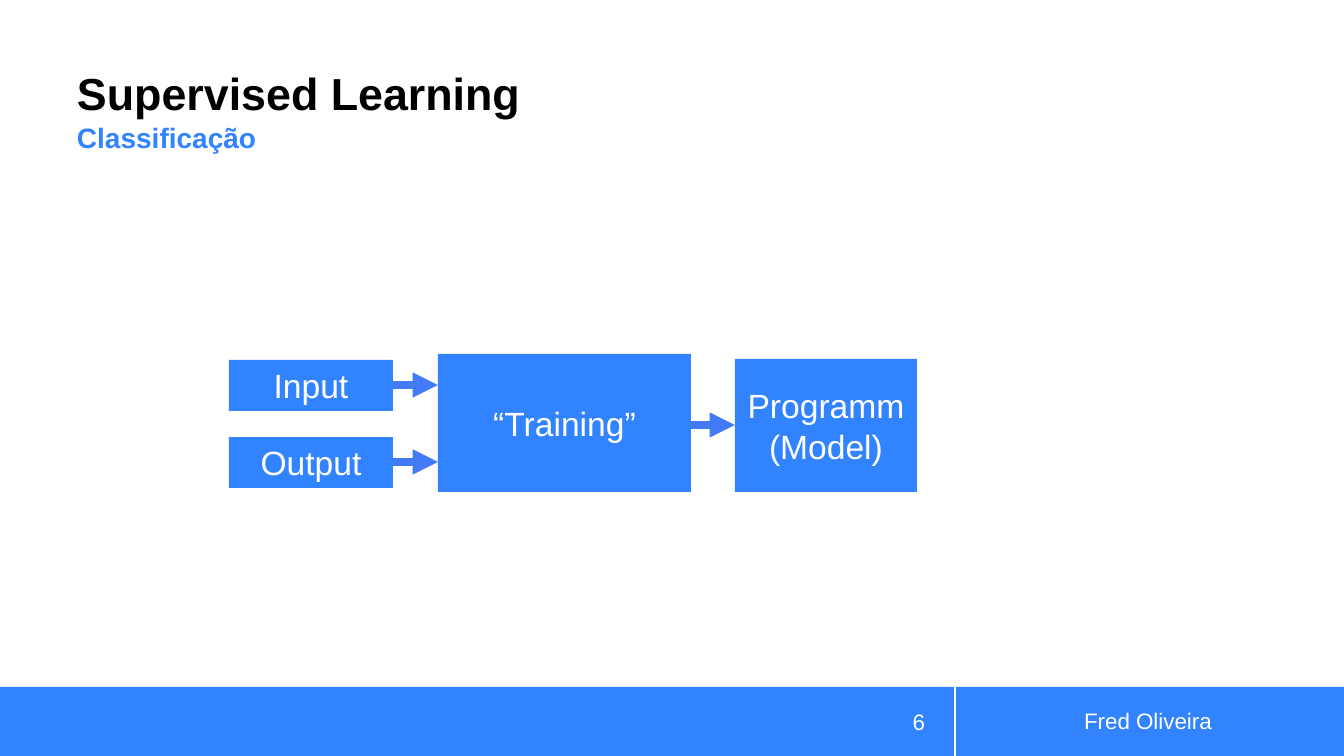
from dataclasses import dataclass

from lxml import etree
from pptx import Presentation
from pptx import util as u
from pptx.dml.color import RGBColor
from pptx.enum import shapes, text
from pptx.oxml import ns

EMU_PER_PX = 914400 / 100.8
FONT = "Arial"
COLORS = {
    "footer": "3183FF",
    "block": "3283FF",
    "arrow": "427BF5",
    "title": "000000",
    "white": "FFFFFF",
}


@dataclass(frozen=True)
class Box:
    left: int
    top: int
    width: int
    height: int

    @property
    def right(self) -> int:
        return self.left + self.width

    @property
    def middle(self) -> int:
        return self.top + self.height // 2


@dataclass(frozen=True)
class Block:
    label: str
    box: Box


@dataclass(frozen=True)
class Arrow:
    source: Box
    target: Box
    y: int


FOOTER_BARS = [Box(0, 687, 954, 69), Box(956, 687, 388, 69)]

INPUT = Block("Input", Box(229, 360, 164, 51))
OUTPUT = Block("Output", Box(229, 437, 164, 51))
TRAINING = Block("“Training”", Box(438, 354, 253, 138))
MODEL = Block("Programm (Model)", Box(735, 359, 182, 133))
BLOCKS = [INPUT, OUTPUT, TRAINING, MODEL]
ARROWS = [
    Arrow(INPUT.box, TRAINING.box, INPUT.box.middle),
    Arrow(OUTPUT.box, TRAINING.box, OUTPUT.box.middle),
    Arrow(TRAINING.box, MODEL.box, MODEL.box.middle),
]


def px(length: int) -> u.Emu:
    return u.Emu(round(length * EMU_PER_PX))


def place(box: Box) -> tuple:
    return px(box.left), px(box.top), px(box.width), px(box.height)


def write(shape, content: str, *, size: int, color: str = "white", bold: bool = False,
          align=text.PP_ALIGN.CENTER, anchor=text.MSO_ANCHOR.MIDDLE,
          line_spacing: float = 1.0, insets: tuple = (10, 5, 10, 5)) -> None:
    """Put one formatted paragraph in a shape; insets are left, top, right, bottom."""
    frame = shape.text_frame
    frame.word_wrap = True
    frame.vertical_anchor = anchor
    (frame.margin_left, frame.margin_top,
     frame.margin_right, frame.margin_bottom) = map(px, insets)
    paragraph = frame.paragraphs[0]
    paragraph.alignment = align
    paragraph.line_spacing = line_spacing
    run = paragraph.add_run()
    run.text = content
    run.font.name = FONT
    run.font.size = u.Pt(size)
    run.font.bold = bold
    run.font.color.rgb = RGBColor.from_string(COLORS[color])


def add_text(slide, box: Box, content: str, **text_format) -> None:
    write(slide.shapes.add_textbox(*place(box)), content, **text_format)


def add_rectangle(slide, box: Box, color: str):
    shape = slide.shapes.add_shape(shapes.MSO_SHAPE.RECTANGLE, *place(box))
    shape.shadow.inherit = False
    shape.fill.solid()
    shape.fill.fore_color.rgb = RGBColor.from_string(COLORS[color])
    shape.line.fill.background()
    return shape


def add_arrow(slide, arrow: Arrow) -> None:
    connector = slide.shapes.add_connector(
        shapes.MSO_CONNECTOR.STRAIGHT,
        px(arrow.source.right), px(arrow.y), px(arrow.target.left), px(arrow.y))
    connector.line.width = u.Pt(6)
    connector.line.color.rgb = RGBColor.from_string(COLORS["arrow"])
    etree.SubElement(connector.line._get_or_add_ln(), ns.qn("a:tailEnd"), type="triangle")
    etree.SubElement(connector._element.spPr, ns.qn("a:effectLst"))


def main() -> None:
    presentation = Presentation()
    presentation.slide_width, presentation.slide_height = px(1344), px(756)
    slide = presentation.slides.add_slide(presentation.slide_layouts[6])

    for bar in FOOTER_BARS:
        add_rectangle(slide, bar, "footer")
    add_text(slide, Box(969, 701, 358, 40), "Fred Oliveira", size=16)
    add_text(slide, Box(848, 702, 87, 40), "6", size=16, align=text.PP_ALIGN.RIGHT)

    heading = {"bold": True, "align": text.PP_ALIGN.LEFT, "line_spacing": 0.9}
    add_text(slide, Box(77, 13, 877, 107), "Supervised Learning", size=32, color="title",
             anchor=text.MSO_ANCHOR.BOTTOM, insets=(0, 0, 0, 0), **heading)
    add_text(slide, Box(77, 120, 877, 55), "Classificação", size=20, color="footer",
             anchor=text.MSO_ANCHOR.TOP, insets=(0, 4, 0, 0), **heading)

    for block in BLOCKS:
        write(add_rectangle(slide, block.box, "block"), block.label, size=24)
    for arrow in ARROWS:
        add_arrow(slide, arrow)

    presentation.save("out.pptx")


if __name__ == "__main__":
    main()
